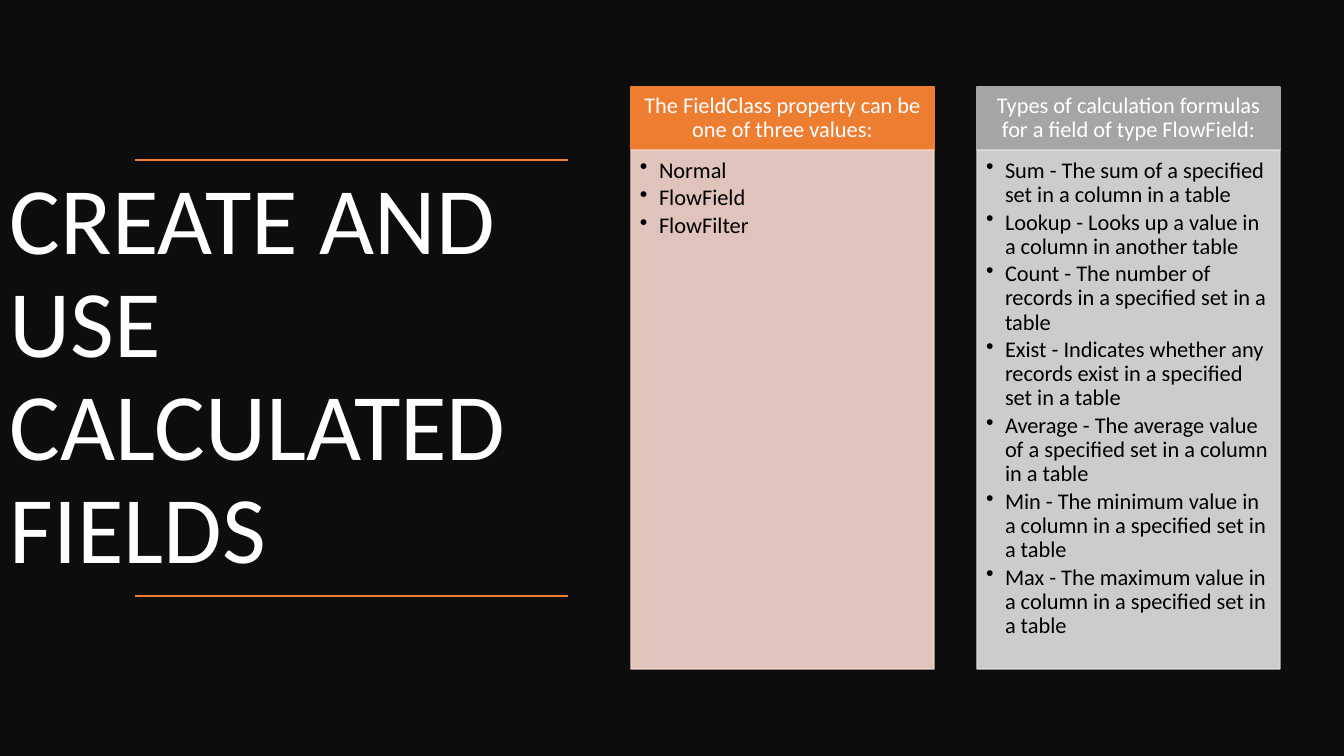
from dataclasses import dataclass

from lxml import etree
from pptx import Presentation
from pptx.dml.color import RGBColor
from pptx.enum.shapes import MSO_CONNECTOR, MSO_SHAPE
from pptx.enum.text import MSO_ANCHOR, PP_ALIGN
from pptx.oxml.ns import qn
from pptx.util import Emu, Pt

RECT = MSO_SHAPE.RECTANGLE
STRAIGHT = MSO_CONNECTOR.STRAIGHT
TOP, MIDDLE = MSO_ANCHOR.TOP, MSO_ANCHOR.MIDDLE
LEFT, CENTER = PP_ALIGN.LEFT, PP_ALIGN.CENTER

SLIDE_W, SLIDE_H = 1344, 756
EMU_PER_PX = 12192000 / SLIDE_W


@dataclass(frozen=True)
class Theme:
    font: str = "Calibri"
    title_size: int = 68
    card_size: int = 16
    backdrop: str = "0D0D0D"
    light: str = "FFFFFF"
    dark: str = "000000"
    orange: str = "ED7D31"
    orange_tint: str = "F8D7CE"
    gray: str = "A5A5A5"
    gray_tint: str = "E1E1E1"
    tint_alpha: int = 90


THEME = Theme()

TITLE = "CREATE AND USE CALCULATED FIELDS"
TITLE_TOP, TITLE_W, TITLE_H = 160, 611, 436
RULE_LEFT, RULE_RIGHT = 135, 568

CARD_LEFT, CARD_TOP, CARD_W, CARD_PITCH = 631, 87, 303, 346
HEADER_H, BODY_H = 63, 519
BULLET_INDENT = 19

CARDS = [
    ("The FieldClass property can be one of three values:",
     ["Normal", "FlowField", "FlowFilter"],
     THEME.orange, THEME.orange_tint),
    ("Types of calculation formulas for a field of type FlowField:",
     ["Sum - The sum of a specified set in a column in a table",
      "Lookup - Looks up a value in a column in another table",
      "Count - The number of records in a specified set in a table",
      "Exist - Indicates whether any records exist in a specified set in a table",
      "Average - The average value of a specified set in a column in a table",
      "Min - The minimum value in a column in a specified set in a table",
      "Max - The maximum value in a column in a specified set in a table"],
     THEME.gray, THEME.gray_tint),
]


def px(n):
    return Emu(round(n * EMU_PER_PX))


def set_alpha(fill, percent):
    """Make a solid fill partly transparent."""
    for color in fill._xPr.iter(qn("a:srgbClr")):
        etree.SubElement(color, qn("a:alpha")).set("val", str(percent * 1000))


def add_rect(s, x, y, w, h, color, alpha=100, outlined=True):
    sp = s.shapes.add_shape(RECT, px(x), px(y), px(w), px(h))
    sp.shadow.inherit = False
    sp.fill.solid()
    sp.fill.fore_color.rgb = RGBColor.from_string(color)
    if outlined:
        sp.line.color.rgb = RGBColor.from_string(color)
        sp.line.width = Pt(1)
    else:
        sp.line.fill.background()
    if alpha < 100:
        set_alpha(sp.fill, alpha)
        set_alpha(sp.line.fill, alpha)
    return sp


def write(sp, paragraphs, size, color, align=LEFT, anchor=MIDDLE, insets=None):
    """Fill a shape with styled paragraphs; insets are left, top, right, bottom."""
    tf = sp.text_frame
    tf.word_wrap = True
    tf.vertical_anchor = anchor
    if insets:
        (tf.margin_left, tf.margin_top,
         tf.margin_right, tf.margin_bottom) = map(px, insets)
    tf.text = "\n".join(paragraphs)
    for p in tf.paragraphs:
        p.alignment = align
        p.line_spacing = 0.9
        for r in p.runs:
            r.font.name = THEME.font
            r.font.size = Pt(size)
            r.font.color.rgb = RGBColor.from_string(color)


def add_bullets(sp):
    for p in sp.text_frame.paragraphs:
        p.space_after = Pt(2.4)
        pPr = p._p.get_or_add_pPr()
        pPr.set("marL", str(px(BULLET_INDENT)))
        pPr.set("indent", str(-px(BULLET_INDENT)))
        etree.SubElement(pPr, qn("a:buChar")).set("char", "•")


def add_rule(s, y):
    line = s.shapes.add_connector(
        STRAIGHT, px(RULE_RIGHT), px(y), px(RULE_LEFT), px(y))
    line.line.color.rgb = RGBColor.from_string(THEME.orange)
    line.line.width = Pt(1)
    etree.SubElement(line._element.spPr, qn("a:effectLst"))


def add_title(s):
    sp = s.shapes.add_textbox(px(0), px(TITLE_TOP), px(TITLE_W), px(TITLE_H))
    write(sp, [TITLE], THEME.title_size, THEME.light)
    for y in (TITLE_TOP, TITLE_TOP + TITLE_H):
        add_rule(s, y)


def add_card(s, x, heading, items, color, tint):
    header = add_rect(s, x, CARD_TOP, CARD_W, HEADER_H, color)
    write(header, [heading], THEME.card_size, THEME.light,
          align=CENTER, insets=(12, 7, 12, 7))
    body = add_rect(s, x, CARD_TOP + HEADER_H, CARD_W, BODY_H, tint,
                    alpha=THEME.tint_alpha)
    write(body, items, THEME.card_size, THEME.dark,
          anchor=TOP, insets=(9, 9, 12, 14))
    add_bullets(body)


def main():
    prs = Presentation()
    prs.slide_width, prs.slide_height = px(SLIDE_W), px(SLIDE_H)
    s = prs.slides.add_slide(prs.slide_layouts[6])
    add_rect(s, 0, 0, SLIDE_W, SLIDE_H, THEME.backdrop, outlined=False)
    add_title(s)
    for i, card in enumerate(CARDS):
        add_card(s, CARD_LEFT + i * CARD_PITCH, *card)
    prs.save("out.pptx")


if __name__ == "__main__":
    main()
